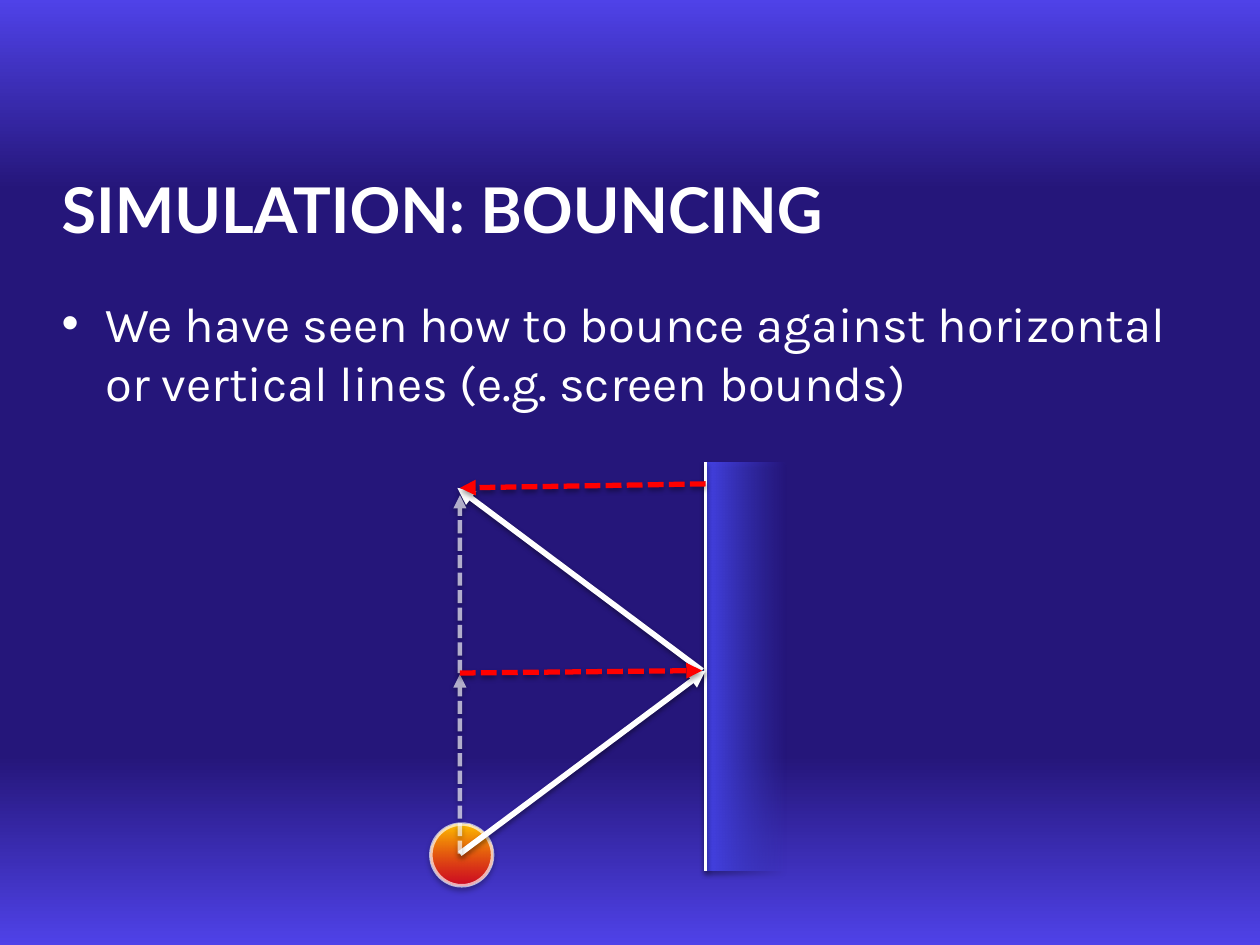
from lxml.etree import SubElement
from pptx import Presentation
from pptx.dml.color import RGBColor
from pptx.enum.dml import MSO_LINE
from pptx.enum.shapes import MSO_CONNECTOR, MSO_SHAPE
from pptx.enum.text import MSO_ANCHOR, MSO_AUTO_SIZE, PP_ALIGN
from pptx.oxml import parse_xml
from pptx.oxml.ns import nsdecls, qn
from pptx.util import Pt

THEME = {
    "white": "FFFFFF", "red": "FF0000",
    "background": [(0, "4F42E8", 100), (20, "25167A", 100),
                   (80, "25167A", 100), (100, "4F42E8", 100)],
    "ball": [(0, "FFC000", 100), (100, "FF0000", 75)],
    "wall": [(0, "4543E8", 100), (100, "4543E8", 0)],
    "title": {"name": "Lato", "size": Pt(36), "bold": True},
    "body": {"name": "Karla", "size": Pt(28), "bold": False},
}

TITLE = "SIMULATION: BOUNCING"
BODY = "We have seen how to bounce against horizontal or vertical lines (e.g. screen bounds)"
TITLE_BOX = (28, 74, 648, 90)
BODY_BOX = (28, 164, 648, 318)
INDENT = 25.2

BALL_SIZE = 35.3
WALL = (403.2, 264.2, 45.4, 233.3)
WALL_X, WALL_TOP, _, WALL_HEIGHT = WALL
PATH_X = 262.8
START_Y, HIT_Y, END_Y = 487.8, 383.2, 278.8
MID_Y = 384.6
HIT_X = 401.2

FACE = {"color": THEME["white"], "width": 2}
MOTION = {"color": THEME["white"], "width": 3.25, "arrow": True}
VERTICAL = {"color": THEME["white"], "width": 2.5, "dash": True, "alpha": 65, "arrow": True}
HORIZONTAL = {"color": THEME["red"], "width": 3, "dash": True, "arrow": True}
LINES = [
    ((WALL_X, WALL_TOP), (WALL_X, WALL_TOP + WALL_HEIGHT), FACE),
    ((HIT_X, HIT_Y), (261.4, END_Y), MOTION),
    ((PATH_X, START_Y), (WALL_X, HIT_Y), MOTION),
    ((PATH_X, START_Y), (PATH_X, 385.4), VERTICAL),
    ((PATH_X, MID_Y), (PATH_X, 283), VERTICAL),
    ((PATH_X, MID_Y), (HIT_X, HIT_Y), HORIZONTAL),
    ((WALL_X, 276.5), (PATH_X, END_Y), HORIZONTAL),
]


def set_gradient(fill, owner, stops, angle):
    """Swap the solid fill of owner for a linear gradient of (position, colour, alpha)."""
    fill.solid()
    gs = "".join(
        f'<a:gs pos="{pos * 1000}"><a:srgbClr val="{color}">'
        f'<a:alpha val="{alpha * 1000}"/></a:srgbClr></a:gs>'
        for pos, color, alpha in stops)
    solid = owner.find(qn("a:solidFill"))
    owner.replace(solid, parse_xml(
        f'<a:gradFill {nsdecls("a")} rotWithShape="1"><a:gsLst>{gs}</a:gsLst>'
        f'<a:lin ang="{angle * 60000}" scaled="0"/></a:gradFill>'))


def add_shadow(sp, alpha, distance):
    sp._element.spPr.append(parse_xml(
        f'<a:effectLst {nsdecls("a")}><a:outerShdw blurRad="{Pt(3.1)}" '
        f'dist="{Pt(distance)}" dir="5400000" rotWithShape="0">'
        f'<a:srgbClr val="000000"><a:alpha val="{alpha * 1000}"/></a:srgbClr>'
        '</a:outerShdw></a:effectLst>'))


def style_line(sp, color, width, dash=False, alpha=100, arrow=False):
    line = sp.line
    line.color.rgb = RGBColor.from_string(color)
    line.width = Pt(width)
    ln = sp._element.spPr.find(qn("a:ln"))
    if alpha < 100:
        rgb = ln.find(".//" + qn("a:srgbClr"))
        SubElement(rgb, qn("a:alpha"), val=str(alpha * 1000))
    if dash:
        line.dash_style = MSO_LINE.SQUARE_DOT
    if arrow:
        SubElement(ln, qn("a:tailEnd"), type="triangle")


def add_solid(slide, kind, box, stops, angle, outline=None):
    sp = slide.shapes.add_shape(kind, *map(Pt, box))
    set_gradient(sp.fill, sp._element.spPr, stops, angle)
    if outline:
        style_line(sp, **outline)
    else:
        sp.line.fill.background()
    add_shadow(sp, 35, 1.8)


def fill_placeholder(sp, box, text, font, anchor):
    sp.left, sp.top, sp.width, sp.height = map(Pt, box)
    tf = sp.text_frame
    tf.text = text
    tf.word_wrap = True
    tf.auto_size = MSO_AUTO_SIZE.NONE
    tf.vertical_anchor = anchor
    p = tf.paragraphs[0]
    p.alignment = PP_ALIGN.LEFT
    p.space_before = Pt(0)
    r = p.runs[0]
    for key, value in font.items():
        setattr(r.font, key, value)
    r.font.color.rgb = RGBColor.from_string(THEME["white"])
    return p


def add_bullet(p):
    pPr = p._p.get_or_add_pPr()
    pPr.set("marL", str(Pt(INDENT)))
    pPr.set("indent", str(-Pt(INDENT)))
    SubElement(pPr, qn("a:buFont"), typeface="Arial")
    SubElement(pPr, qn("a:buChar"), char="•")


def main():
    prs = Presentation()
    prs.slide_width, prs.slide_height = Pt(720), Pt(540)
    slide = prs.slides.add_slide(prs.slide_layouts[1])
    fill = slide.background.fill
    fill.solid()
    set_gradient(fill, slide._element.xpath(".//p:bgPr")[0], THEME["background"], 90)

    title, body = slide.placeholders
    fill_placeholder(title, TITLE_BOX, TITLE, THEME["title"], MSO_ANCHOR.MIDDLE)
    add_bullet(fill_placeholder(body, BODY_BOX, BODY, THEME["body"], MSO_ANCHOR.TOP))

    ball = (246.2, 470.9, BALL_SIZE, BALL_SIZE)
    rim = {"color": THEME["white"], "width": 2, "alpha": 65}
    add_solid(slide, MSO_SHAPE.OVAL, ball, THEME["ball"], 90, rim)
    add_solid(slide, MSO_SHAPE.RECTANGLE, WALL, THEME["wall"], 0)

    for start, end, style in LINES:
        cxn = slide.shapes.add_connector(MSO_CONNECTOR.STRAIGHT, *map(Pt, start + end))
        style_line(cxn, **style)
        add_shadow(cxn, 38, 1.6)

    prs.save("out.pptx")


if __name__ == "__main__":
    main()
